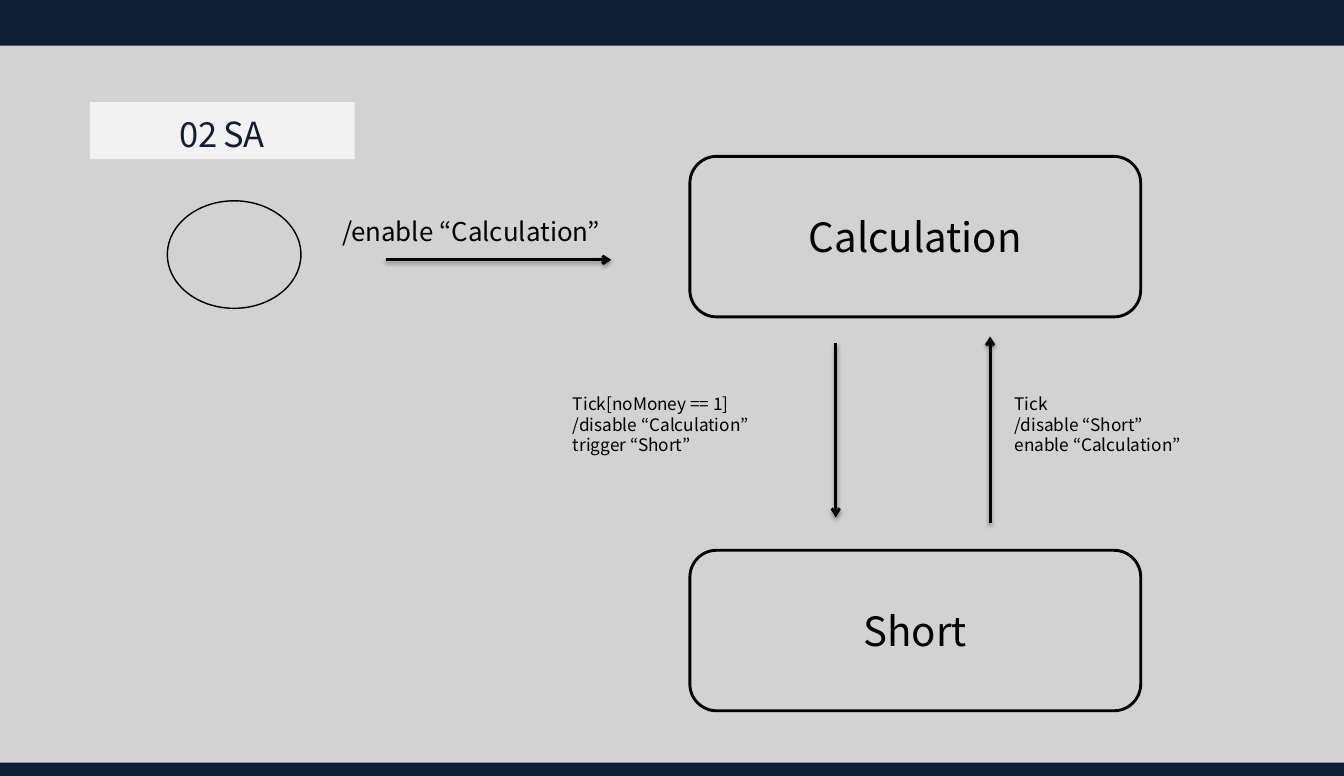
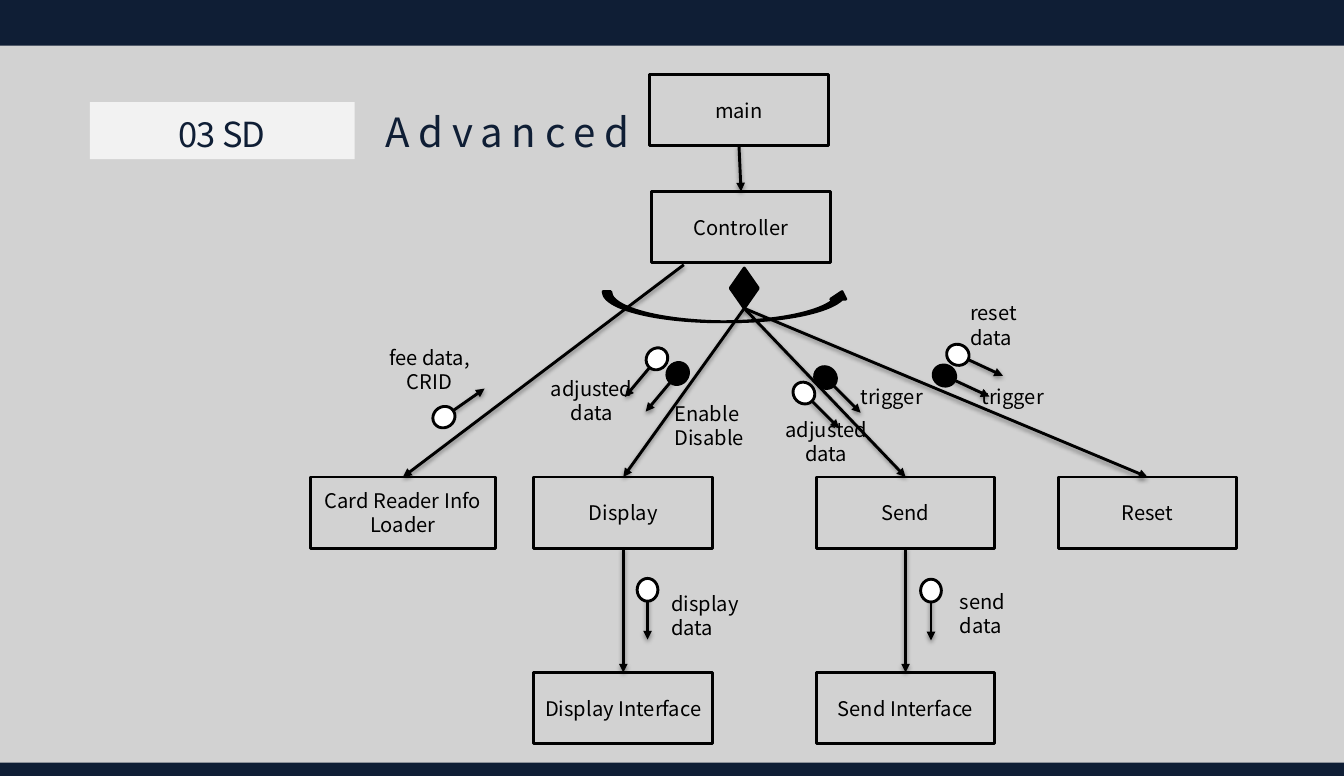
"""Build the state and structure diagram slides."""
from dataclasses import dataclass
from math import cos, radians, sin

from lxml import etree
from pptx import Presentation
from pptx import util as u
from pptx.dml.color import RGBColor
from pptx.enum import shapes, text
from pptx.oxml.ns import qn

FONT = "Noto Sans CJK KR"
NAVY, GREY, PALE = "0F1E35", "D2D2D2", "F2F2F2"
BLACK, WHITE = "000000", "FFFFFF"
WIDTH, HEIGHT = 33.0, 19.05
KIND = shapes.MSO_SHAPE
ALIGN = text.PP_ALIGN
BOX_W, BOX_H = 4.39, 1.75
LEAF_Y, INTERFACE_Y = 11.71, 16.51
DOT_W, DOT_H = 0.51, 0.56
FLOW_START, FLOW_END = 0.1, 1.22


@dataclass(frozen=True)
class Area:
    x: float
    y: float
    w: float
    h: float

    def lengths(self) -> list:
        return [u.Cm(value) for value in (self.x, self.y, self.w, self.h)]


@dataclass(frozen=True)
class Style:
    size: float
    color: str = BLACK
    align: ALIGN = ALIGN.LEFT
    spacing: float = 0


@dataclass(frozen=True)
class Label:
    words: str
    area: Area
    style: Style


@dataclass(frozen=True)
class Node:
    name: str
    area: Area


@dataclass(frozen=True)
class Flow:
    x: float
    y: float
    angle: float
    fill: str


TITLE = Style(24, NAVY, ALIGN.CENTER, -0.5)
SUBTITLE = Style(28, NAVY, spacing=6)
STATE = Style(28, align=ALIGN.CENTER)
EVENT = Style(18)
GUARD = Style(12)
MODULE = Style(14, align=ALIGN.CENTER)
NOTE = Style(14)

STATES = [
    Node("Calculation", Area(16.94, 3.84, 11.07, 3.94)),
    Node("Short", Area(16.94, 13.51, 11.07, 3.94)),
]
TRANSITIONS = [
    ((9.47, 6.38), (15.01, 6.38)),
    ((20.52, 8.43), (20.52, 12.7)),
    ((24.31, 12.85), (24.31, 8.26)),
]
STATE_LABELS = [
    Label("/enable “Calculation”", Area(8.15, 5.16, 8.51, 1.02), EVENT),
    Label("Tick[noMoney == 1]\n/disable “Calculation”\ntrigger “Short”",
          Area(13.82, 9.53, 6.2, 1.8), GUARD),
    Label("Tick\n/disable “Short”\nenable “Calculation”",
          Area(24.66, 9.53, 6.2, 1.8), GUARD),
]
MODULES = [
    Node("main", Area(15.95, 1.83, BOX_W, BOX_H)),
    Node("Controller", Area(16, 4.7, BOX_W, BOX_H)),
    Node("Card Reader Info\nLoader", Area(7.62, LEAF_Y, 4.55, BOX_H)),
    Node("Display", Area(13.11, LEAF_Y, BOX_W, BOX_H)),
    Node("Send", Area(20.04, LEAF_Y, BOX_W, BOX_H)),
    Node("Reset", Area(25.98, LEAF_Y, BOX_W, BOX_H)),
    Node("Display Interface", Area(13.11, INTERFACE_Y, BOX_W, BOX_H)),
    Node("Send Interface", Area(20.04, INTERFACE_Y, BOX_W, BOX_H)),
]
FLOWS = [
    Flow(16.64, 9.17, 40, BLACK),
    Flow(20.27, 9.27, 315, BLACK),
    Flow(23.19, 9.22, 295, BLACK),
    Flow(10.9, 10.24, 235, WHITE),
    Flow(16.13, 8.81, 40, WHITE),
    Flow(19.74, 9.65, 315, WHITE),
    Flow(23.52, 8.71, 295, WHITE),
    Flow(15.9, 14.48, 0, WHITE),
    Flow(22.86, 14.5, 0, WHITE),
]
MODULE_LABELS = [
    Label("trigger", Area(20.88, 9.32, 2.24, 0.86), NOTE),
    Label("trigger", Area(23.85, 9.32, 2.24, 0.86), NOTE),
    Label("Enable\nDisable", Area(16.31, 9.73, 2.51, 1.45), NOTE),
    Label("display data", Area(16.23, 14.4, 2.74, 1.45), NOTE),
    Label("send data", Area(23.32, 14.35, 2.24, 1.45), NOTE),
    Label("reset data", Area(23.57, 7.26, 2.24, 1.45), NOTE),
    Label("adjusted data", Area(12.88, 9.12, 3.3, 1.45), MODULE),
    Label("adjusted data", Area(18.64, 10.11, 3.3, 1.45), MODULE),
    Label("fee data,\nCRID", Area(8.74, 8.36, 3.61, 1.45), MODULE),
    Label("Advanced", Area(9.22, 2.51, 21.72, 1.45), SUBTITLE),
]


def rgb(value: str) -> RGBColor:
    return RGBColor.from_string(value)


def apply(target, values: dict) -> None:
    for name, value in values.items():
        setattr(target, name, value)


def write(frame, words: str, style: Style) -> None:
    for index, line in enumerate(words.split("\n")):
        para = frame.paragraphs[0] if index == 0 else frame.add_paragraph()
        apply(para, {"alignment": style.align,
                     "line_spacing": u.Pt(round(style.size * 1.2, 1))})
        span = para.add_run()
        span.text = line
        apply(span.font, {"name": FONT, "size": u.Pt(style.size)})
        span.font.color.rgb = rgb(style.color)
        if style.spacing:
            span.font._element.set("spc", str(int(style.spacing * 100)))


def add_label(page, label: Label) -> None:
    box = page.shapes.add_textbox(*label.area.lengths())
    box.text_frame.word_wrap = True
    write(box.text_frame, label.words, label.style)


def add_figure(page, kind: KIND, area: Area, fill: str = "",
               line: str = BLACK, weight: float = 2):
    figure = page.shapes.add_shape(kind, *area.lengths())
    figure.shadow.inherit = False
    if fill:
        figure.fill.solid()
        figure.fill.fore_color.rgb = rgb(fill)
    else:
        figure.fill.background()
    if line:
        figure.line.color.rgb = rgb(line)
        figure.line.width = u.Pt(weight)
    else:
        figure.line.fill.background()
    return figure


def add_node(page, kind: KIND, node: Node, style: Style):
    figure = add_figure(page, kind, node.area)
    apply(figure.text_frame, {
        "word_wrap": True, "margin_left": 0, "margin_right": 0,
        "vertical_anchor": text.MSO_ANCHOR.MIDDLE})
    write(figure.text_frame, node.name, style)
    return figure


def add_arrow(page, start: tuple, end: tuple, head: str = "triangle"):
    points = [u.Cm(value) for value in (*start, *end)]
    arrow = page.shapes.add_connector(shapes.MSO_CONNECTOR.STRAIGHT, *points)
    arrow.line.color.rgb = rgb(BLACK)
    arrow.line.width = u.Pt(2)
    properties = arrow._element.spPr
    etree.SubElement(properties.find(qn("a:ln")), qn("a:tailEnd"), type=head)
    effects = etree.SubElement(properties, qn("a:effectLst"))
    shadow = etree.SubElement(
        effects, qn("a:outerShdw"), blurRad=str(u.Pt(3.1)),
        dist=str(u.Pt(1.6)), dir="5400000", rotWithShape="0")
    color = etree.SubElement(shadow, qn("a:srgbClr"), val=BLACK)
    etree.SubElement(color, qn("a:alpha"), val="38000")
    return arrow


def join(page, upper, lower) -> None:
    arrow = add_arrow(page, (0, 0), (1, 1))
    arrow.begin_connect(upper, 2)
    arrow.end_connect(lower, 0)


def add_flow(page, flow: Flow) -> None:
    across, down = -sin(radians(flow.angle)), cos(radians(flow.angle))
    start, end = [(flow.x + reach * across, flow.y + reach * down)
                  for reach in (FLOW_START, FLOW_END)]
    add_arrow(page, start, end)
    area = Area(flow.x - DOT_W / 2, flow.y - DOT_H / 2, DOT_W, DOT_H)
    add_figure(page, KIND.OVAL, area, flow.fill).rotation = flow.angle


def add_page(deck, title: str):
    page = deck.slides.add_slide(deck.slide_layouts[6])
    page.background.fill.solid()
    page.background.fill.fore_color.rgb = rgb(GREY)
    for area, fill in (
        (Area(2.21, 2.51, 6.5, 1.4), PALE),
        (Area(0, 0, WIDTH, 1.12), NAVY),
        (Area(0, 18.72, WIDTH, 0.33), NAVY),
    ):
        add_figure(page, KIND.RECTANGLE, area, fill, line="")
    add_label(page, Label(title, Area(2.72, 2.64, 5.46, 1.27), TITLE))
    return page


def build_states(deck) -> None:
    page = add_page(deck, "02 SA")
    add_figure(page, KIND.OVAL, Area(4.11, 4.93, 3.28, 2.64), weight=1)
    for state in STATES:
        add_node(page, KIND.ROUNDED_RECTANGLE, state, STATE)
    for start, end in TRANSITIONS:
        add_arrow(page, start, end, "arrow")
    for label in STATE_LABELS:
        add_label(page, label)


def build_structure(deck) -> None:
    page = add_page(deck, "03 SD")
    main_box, controller, loader, display, send, reset, screen, sender = [
        add_node(page, KIND.RECTANGLE, module, MODULE) for module in MODULES]
    choice = add_figure(page, KIND.FLOWCHART_DECISION,
                        Area(17.93, 6.58, 0.69, 0.99), BLACK)
    for upper, lower in (
        (main_box, controller), (choice, display), (choice, send),
        (choice, reset), (display, screen), (send, sender),
    ):
        join(page, upper, lower)
    add_arrow(page, (16.79, 6.5), (9.9, LEAF_Y)).end_connect(loader, 0)
    add_figure(page, KIND.CURVED_UP_ARROW, Area(14.81, 7.16, 6.05, 0.74), BLACK)
    for flow in FLOWS:
        add_flow(page, flow)
    for label in MODULE_LABELS:
        add_label(page, label)


def main() -> None:
    deck = Presentation()
    apply(deck, {"slide_width": u.Cm(WIDTH), "slide_height": u.Cm(HEIGHT)})
    build_states(deck)
    build_structure(deck)
    deck.save("out.pptx")


if __name__ == "__main__":
    main()
